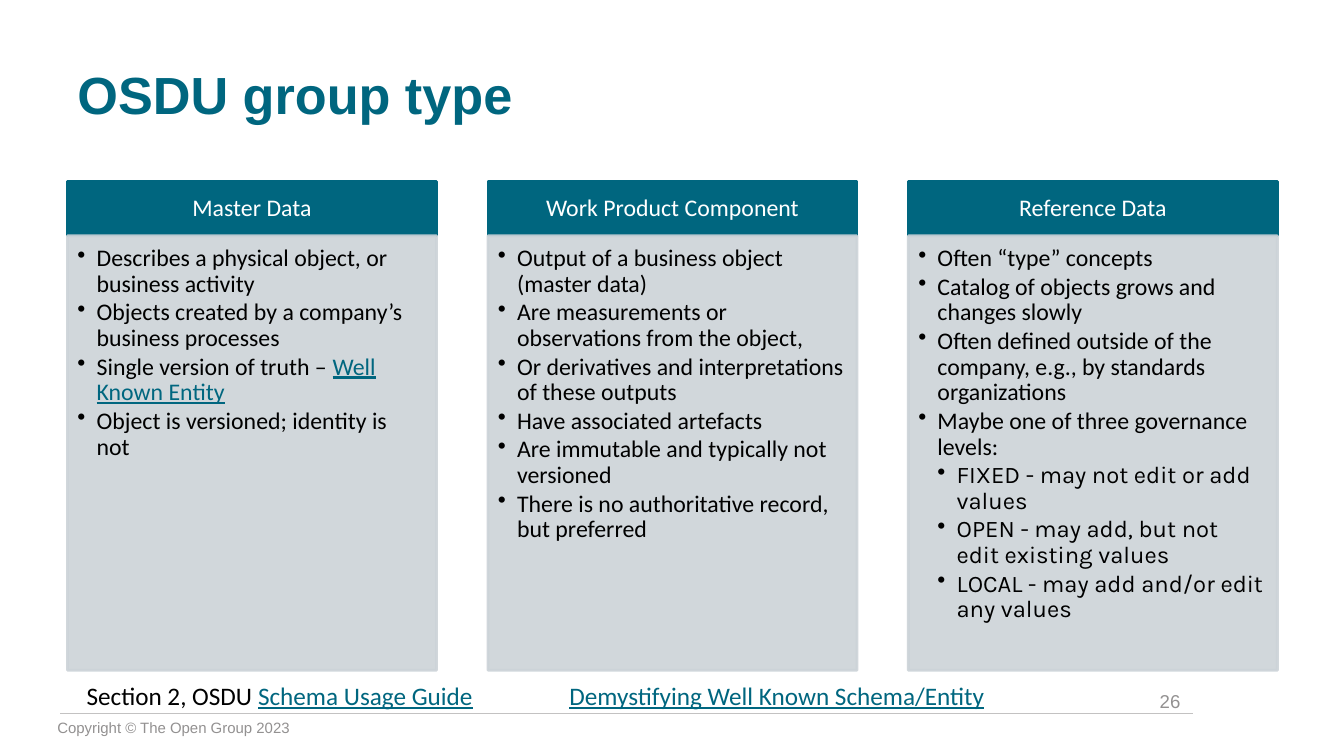
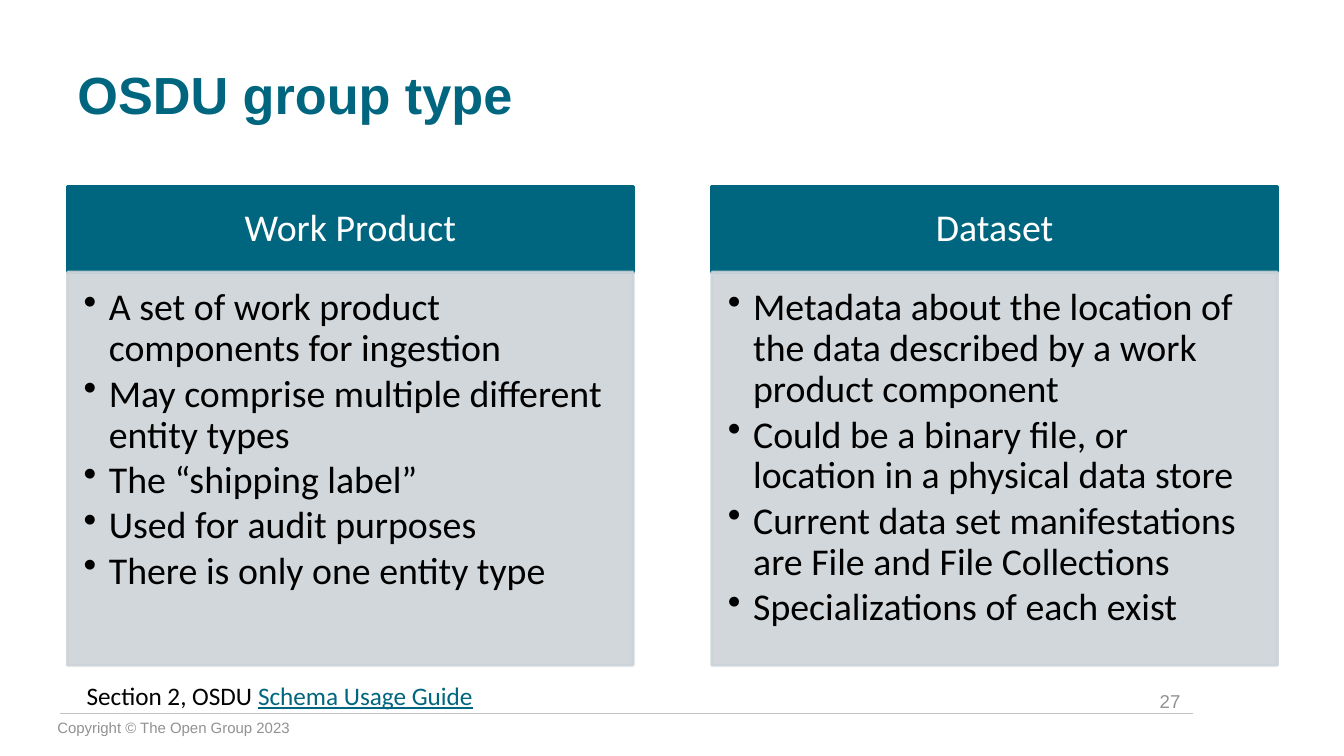
from lxml.etree import SubElement
from pptx import Presentation
from pptx.dml.color import RGBColor
from pptx.enum.shapes import MSO_CONNECTOR, MSO_SHAPE
from pptx.enum.text import MSO_ANCHOR, PP_ALIGN
from pptx.oxml.ns import qn
from pptx.util import Inches, Pt

TEAL = RGBColor(0x00, 0x66, 0x7F)
PANEL = RGBColor(0xCC, 0xD3, 0xD8)
RULE = RGBColor(0xC3, 0xC2, 0xC2)
GREY = RGBColor(0x93, 0x91, 0x91)
BLACK = RGBColor(0, 0, 0)
WHITE = RGBColor(0xFF, 0xFF, 0xFF)

HEADING, BODY, SUB_BODY = "Arial", "Calibri", "Karla"
LEFT, SPAN = 0.67, 12
COPYRIGHT = "Copyright © The Open Group 2023"
GUIDE = ["Section 2, OSDU ", ("Schema Usage Guide",)]

# A plain string is normal text, a one-item tuple is text styled as a link.
# A column is a heading, its points and its sub-points.
SLIDES = [
    {
        "title": "OSDU group type", "number": 26,
        "top": 1.8, "head_h": 0.54, "body_h": 4.31, "col_w": 3.66,
        "size": 17, "indent": 0.19,
        "head_insets": (0.13, 0.08, 0.13, 0.08),
        "body_insets": (0.1, 0.1, 0.13, 0.15),
        "columns": [
            ("Master Data", [
                ["Describes a physical object, or business activity"],
                ["Objects created by a company’s business processes"],
                ["Single version of truth – ", ("Well Known Entity",)],
                ["Object is versioned; identity is not"],
            ], []),
            ("Work Product Component", [
                ["Output of a business object (master data)"],
                ["Are measurements or observations from the object,"],
                ["Or derivatives and interpretations of these outputs"],
                ["Have associated artefacts"],
                ["Are immutable and typically not versioned"],
                ["There is no authoritative record, but preferred"],
            ], []),
            ("Reference Data", [
                ["Often “type” concepts"],
                ["Catalog of objects grows and changes slowly"],
                ["Often defined outside of the company, e.g., by standards organizations"],
                ["Maybe one of three governance levels:"],
            ], [
                ["FIXED - may not edit or add values"],
                ["OPEN - may add, but not edit existing values"],
                ["LOCAL - may add and/or edit any values"],
            ]),
        ],
        "sources": [(0.76, 4.12, GUIDE),
                    (5.55, 4.77, [("Demystifying Well Known Schema/Entity",)])],
    },
    {
        "title": "OSDU group type", "number": 27,
        "top": 1.85, "head_h": 0.85, "body_h": 3.9, "col_w": 5.61,
        "size": 27, "indent": 0.25,
        "head_insets": (0.21, 0.12, 0.21, 0.12),
        "body_insets": (0.16, 0.16, 0.21, 0.24),
        "columns": [
            ("Work Product", [
                ["A set of work product components for ingestion"],
                ["May comprise multiple different entity types"],
                ["The “shipping label”"],
                ["Used for audit purposes"],
                ["There is only one entity type"],
            ], []),
            ("Dataset", [
                ["Metadata about the location of the data described by a work product component"],
                ["Could be a binary file, or location in a physical data store"],
                ["Current data set manifestations are File and File Collections"],
                ["Specializations of each exist"],
            ], []),
        ],
        "sources": [(0.76, 6.42, GUIDE)],
    },
]


def add_runs(p, parts, size, font, color, bold=False):
    for part in parts:
        is_link = isinstance(part, tuple)
        r = p.add_run()
        r.text = part[0] if is_link else part
        r.font.name, r.font.size, r.font.bold = font, Pt(size), bold
        r.font.color.rgb = TEAL if is_link else color
        if is_link:
            r.font.underline = True


def add_text(s, box, parts, size, font=BODY, color=BLACK, bold=False,
             align=PP_ALIGN.LEFT, anchor=MSO_ANCHOR.TOP):
    tf = s.shapes.add_textbox(*map(Inches, box)).text_frame
    tf.word_wrap = True
    tf.vertical_anchor = anchor
    p = tf.paragraphs[0]
    p.alignment = align
    add_runs(p, parts, size, font, color, bold)


def add_panel(s, box, color, insets, anchor):
    sp = s.shapes.add_shape(MSO_SHAPE.RECTANGLE, *map(Inches, box))
    sp.shadow.inherit = False
    sp.fill.solid()
    sp.fill.fore_color.rgb = color
    sp.line.color.rgb = color
    sp.line.width = Pt(2)
    tf = sp.text_frame
    tf.word_wrap = True
    tf.vertical_anchor = anchor
    (tf.margin_left, tf.margin_top,
     tf.margin_right, tf.margin_bottom) = map(Inches, insets)
    return sp


def set_opacity(sp, percent):
    """Apply the opacity to both fill and outline."""
    for clr in sp._element.spPr.iter(qn("a:srgbClr")):
        SubElement(clr, qn("a:alpha")).set("val", str(percent * 1000))


def set_bullet(p, level, indent):
    p.level = level
    pPr = p._p.get_or_add_pPr()
    pPr.set("marL", str(Inches(indent * (level + 1))))
    pPr.set("indent", str(-Inches(indent)))
    SubElement(pPr, qn("a:buChar")).set("char", "•")


def add_column(s, left, data, column):
    heading, points, sub_points = column
    top, width, size = data["top"], data["col_w"], data["size"]
    head = add_panel(s, (left, top, width, data["head_h"]), TEAL,
                     data["head_insets"], MSO_ANCHOR.MIDDLE)
    p = head.text_frame.paragraphs[0]
    p.alignment = PP_ALIGN.CENTER
    p.line_spacing = 0.9
    add_runs(p, [heading], size, BODY, WHITE)

    body = add_panel(s, (left, top + data["head_h"], width, data["body_h"]), PANEL,
                     data["body_insets"], MSO_ANCHOR.TOP)
    set_opacity(body, 90)
    tf = body.text_frame
    items = [(0, BODY, parts) for parts in points]
    items += [(1, SUB_BODY, parts) for parts in sub_points]
    for i, (level, font, parts) in enumerate(items):
        p = tf.add_paragraph() if i else tf.paragraphs[0]
        p.alignment = PP_ALIGN.LEFT
        p.line_spacing = 0.9
        p.space_after = Pt(0.12 * size)
        set_bullet(p, level, data["indent"])
        add_runs(p, parts, size, font, BLACK)


def add_frame(s, title, number):
    """Add the title, footer rule, copyright line and page number."""
    rule = s.shapes.add_connector(MSO_CONNECTOR.STRAIGHT, Inches(0.6), Inches(7.08),
                                  Inches(11.83), Inches(7.08))
    rule.line.color.rgb = RULE
    rule.line.width = Pt(0.5)
    SubElement(rule._element.spPr, qn("a:effectLst"))
    add_text(s, (0.47, 7.08, 3.53, 0.28), [COPYRIGHT], 10.7, HEADING, GREY)
    add_text(s, (LEFT, 0.3, SPAN, 1.25), [title], 37.3, HEADING, TEAL, bold=True,
             anchor=MSO_ANCHOR.MIDDLE)
    add_text(s, (10.05, 6.8, 3.11, 0.4), [str(number)], 13.3, HEADING, GREY,
             align=PP_ALIGN.CENTER)


def main():
    prs = Presentation()
    prs.slide_width, prs.slide_height = Inches(13.33), Inches(7.5)
    for data in SLIDES:
        s = prs.slides.add_slide(prs.slide_layouts[6])
        add_frame(s, data["title"], data["number"])
        columns = data["columns"]
        pitch = (SPAN - data["col_w"]) / (len(columns) - 1)
        for i, column in enumerate(columns):
            add_column(s, LEFT + i * pitch, data, column)
        for left, width, parts in data["sources"]:
            add_text(s, (left, 6.7, width, 0.4), parts, 18)
    prs.save("out.pptx")


if __name__ == "__main__":
    main()
